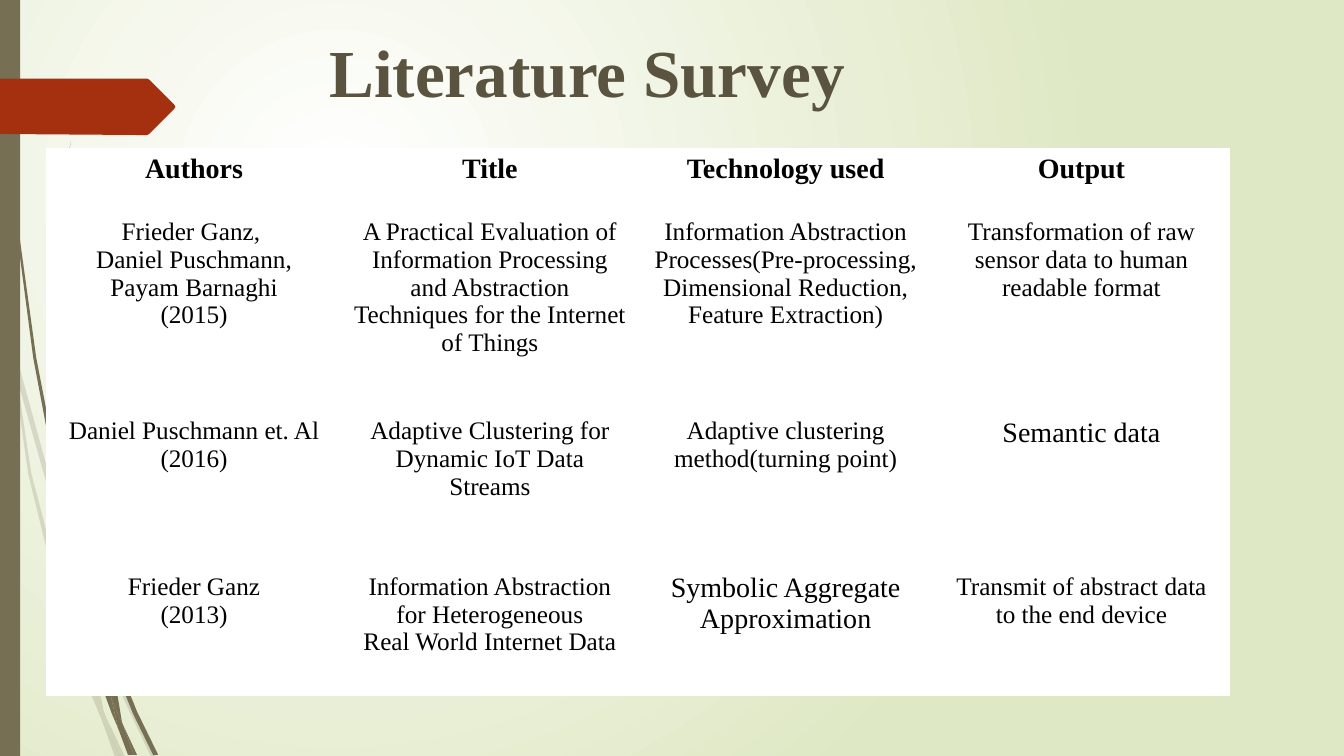
from lxml import etree
from pptx import Presentation
from pptx.dml.color import RGBColor
from pptx.enum.shapes import MSO_SHAPE
from pptx.enum.text import MSO_ANCHOR, PP_ALIGN
from pptx.oxml.ns import qn
from pptx.util import Pt

RECTANGLE = MSO_SHAPE.RECTANGLE
CENTER = PP_ALIGN.CENTER
TOP = MSO_ANCHOR.TOP

FONT = "Times New Roman"
COLORS = {
    "white": "FFFFFF",
    "pale_green": "DFE8C4",
    "olive": "766F54",
    "red": "A53010",
    "title": "59533F",
    "text": "000000",
}
GRID = Pt(0.72)  # outline coordinates are hundredths of an inch

PALE_WISPS = [
    [(11, 350), (9, 322), (0, 282), (0, 299), (10, 344)],
    [(58, 522), (84, 599), (85, 586), (62, 520), (14, 345), (17, 376)],
    [(92, 607), (88, 596), (88, 610), (123, 694), (150, 751), (155, 751), (127, 692)],
    [(119, 751), (124, 751), (105, 711)],
    [(93, 683), (70, 619), (31, 469), (17, 376), (11, 350), (28, 470), (65, 621),
     (92, 693), (101, 714), (99, 707)],
    [(84, 599), (87, 646), (93, 683), (96, 692), (105, 711), (103, 706), (91, 646),
     (88, 610), (88, 608)],
    [(88, 584), (110, 462), (160, 349), (229, 245), (268, 198), (290, 175), (312, 154),
     (312, 153), (289, 175), (268, 197), (228, 244), (158, 348), (107, 461), (85, 584),
     (85, 586), (88, 596)],
    [(101, 714), (114, 751), (119, 751)],
    [(88, 608), (88, 610), (88, 596), (85, 586), (84, 599)],
    [(96, 692), (93, 683), (99, 707), (101, 714), (119, 751), (105, 711)],
]
DARK_WISPS = [
    [(7, 110), (17, 233), (33, 355), (56, 477), (57, 481), (55, 457), (55, 453),
     (36, 355), (19, 232), (8, 109), (5, 48), (4, 0), (3, 0), (4, 48)],
    [(88, 592), (106, 645), (106, 633), (106, 631), (93, 590), (60, 472), (64, 505)],
    [(113, 649), (110, 641), (111, 656), (132, 708), (152, 749), (157, 749), (136, 706)],
    [(110, 691), (98, 657), (72, 556), (64, 505), (57, 477), (68, 557), (93, 659),
     (111, 708), (117, 722), (116, 717)],
    [(60, 472), (58, 453), (54, 349), (58, 245), (63, 193), (70, 141), (62, 193),
     (56, 245), (52, 349), (55, 449)],
    [(133, 749), (136, 749), (122, 719)],
    [(57, 477), (64, 505), (60, 472), (55, 449), (55, 453)],
    [(111, 633), (125, 552), (158, 476), (205, 406), (231, 374), (245, 359), (261, 344),
     (260, 344), (245, 358), (231, 373), (204, 405), (156, 474), (122, 551), (106, 631),
     (110, 641)],
    [(117, 722), (127, 749), (131, 749)],
    [(106, 645), (110, 691), (116, 706), (122, 719), (121, 716), (111, 656), (109, 651)],
    [(106, 645), (109, 651), (111, 656), (110, 641), (106, 631), (106, 633)],
    [(116, 706), (110, 691), (116, 717), (117, 722), (130, 749), (133, 749), (122, 719)],
]
PAGE_ARROW = [(173, 108), (148, 133), (146, 134), (136, 134), (0, 133), (0, 78),
              (146, 78), (148, 79), (173, 104), (174, 106)]

COLUMN_WIDTH = 211.3
ROW_HEIGHTS = [46, 142.6, 110.9, 91.4]
SURVEY = [
    ["Authors", "Title", "Technology used", "Output"],
    ["Frieder Ganz, \nDaniel Puschmann,\nPayam Barnaghi\n(2015)",
     "A Practical Evaluation of Information Processing and Abstraction Techniques "
     "for the Internet of Things",
     "Information Abstraction Processes(Pre-processing, Dimensional Reduction, "
     "Feature Extraction)",
     "Transformation of raw sensor data to human readable format"],
    ["Daniel Puschmann et. Al (2016)",
     "Adaptive Clustering for Dynamic IoT Data Streams",
     "Adaptive clustering method(turning point)",
     "Semantic data"],
    ["Frieder Ganz\n(2013)",
     "Information Abstraction for Heterogeneous\nReal World Internet Data",
     "Symbolic Aggregate Approximation",
     "Transmit of abstract data to the end device"],
]
LARGE_CELLS = {(2, 3), (3, 2)}


def rgb(name):
    return RGBColor.from_string(COLORS[name])


def paint(shape, color):
    shape.fill.solid()
    shape.fill.fore_color.rgb = rgb(color)
    shape.line.fill.background()
    shape.shadow.inherit = False


def style_paragraph(paragraph, size, color, bold):
    paragraph.alignment = CENTER
    font = paragraph.font
    font.name, font.size, font.bold = FONT, Pt(size), bold
    font.color.rgb = rgb(color)


def add_background(slide):
    """Radial glow centred in the upper left quarter."""
    fill = slide.background.fill
    fill.gradient()
    for stop, color in zip(fill.gradient_stops, ("white", "pale_green")):
        stop.color.rgb = rgb(color)
    gradient = slide.element.find(".//" + qn("a:gradFill"))
    gradient.remove(gradient.find(qn("a:lin")))
    circle = etree.SubElement(gradient, qn("a:path"), path="circle")
    etree.SubElement(circle, qn("a:fillToRect"), l="25000", t="25000", r="75000", b="75000")


def add_outline(shapes, points, color):
    builder = shapes.build_freeform(*points[0], scale=GRID)
    builder.add_line_segments(points[1:], close=True)
    shape = builder.convert_to_shape()
    paint(shape, color)
    return shape


def add_wisps(slide, outlines, opacity):
    group = slide.shapes.add_group_shape()
    for points in outlines:
        shape = add_outline(group.shapes, points, "olive")
        if opacity < 100:
            color = shape.fill._xPr.find(".//" + qn("a:srgbClr"))
            etree.SubElement(color, qn("a:alpha"), val=str(opacity * 1000))


def add_side_decoration(slide, left, top, width, height):
    add_wisps(slide, PALE_WISPS, 20)
    add_wisps(slide, DARK_WISPS, 100)
    bar = slide.shapes.add_shape(RECTANGLE, Pt(left), Pt(top), Pt(width), Pt(height))
    paint(bar, "olive")
    add_outline(slide.shapes, PAGE_ARROW, "red")


def add_title(slide, left, top, width, height):
    box = slide.shapes.add_textbox(Pt(left), Pt(top), Pt(width), Pt(height))
    frame = box.text_frame
    frame.word_wrap = True
    frame.vertical_anchor = TOP
    frame.margin_top = Pt(8)
    frame.text = "Literature Survey"
    style_paragraph(frame.paragraphs[0], 48, "title", True)


def add_borders(cell):
    """White hairlines, placed ahead of the fill as the schema asks."""
    properties = cell._tc.get_or_add_tcPr()
    for index, side in enumerate(("a:lnL", "a:lnR", "a:lnT", "a:lnB")):
        line = etree.Element(qn(side), w=str(Pt(1)))
        fill = etree.SubElement(line, qn("a:solidFill"))
        etree.SubElement(fill, qn("a:srgbClr"), val=COLORS["white"])
        properties.insert(index, line)


def add_survey_table(slide, left, top):
    columns = len(SURVEY[0])
    table = slide.shapes.add_table(
        len(SURVEY), columns, Pt(left), Pt(top),
        Pt(COLUMN_WIDTH * columns), Pt(sum(ROW_HEIGHTS))).table
    for column in table.columns:
        column.width = Pt(COLUMN_WIDTH)
    for row, height in zip(table.rows, ROW_HEIGHTS):
        row.height = Pt(height)
    for row_index, texts in enumerate(SURVEY):
        header = row_index == 0
        for column_index, text in enumerate(texts):
            cell = table.cell(row_index, column_index)
            cell.text = text
            cell.fill.solid()
            cell.fill.fore_color.rgb = rgb("white")
            add_borders(cell)
            large = header or (row_index, column_index) in LARGE_CELLS
            for paragraph in cell.text_frame.paragraphs:
                style_paragraph(paragraph, 20 if large else 18, "text", header)


def main():
    presentation = Presentation()
    presentation.slide_width, presentation.slide_height = Pt(960), Pt(540)
    slide = presentation.slides.add_slide(presentation.slide_layouts[6])
    add_background(slide)
    add_side_decoration(slide, 0, 0, 14.4, 540)
    add_title(slide, 49, 13.7, 741, 90.7)
    add_survey_table(slide, 33, 106)
    presentation.save("out.pptx")


if __name__ == "__main__":
    main()
